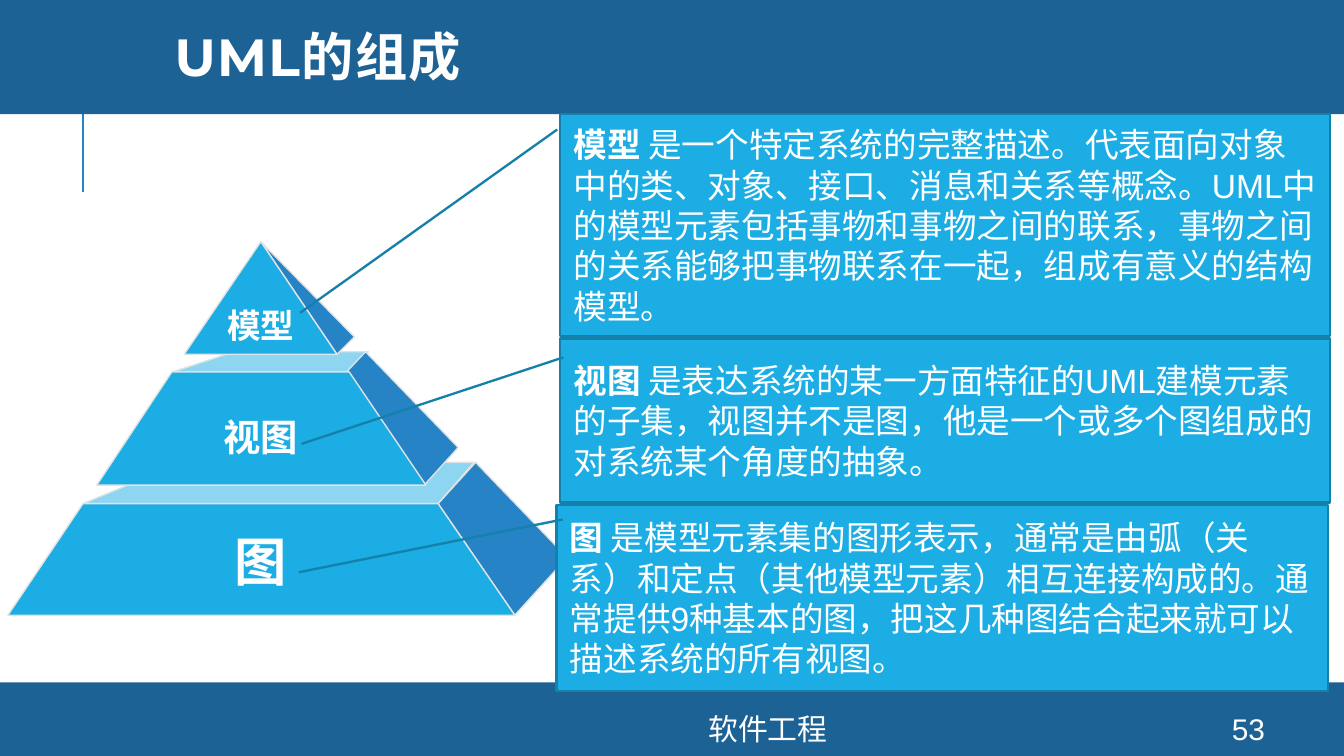
from lxml.etree import SubElement
from pptx import Presentation
from pptx.dml.color import RGBColor
from pptx.enum.shapes import MSO_CONNECTOR, MSO_SHAPE
from pptx.enum.text import MSO_ANCHOR, PP_ALIGN
from pptx.oxml.ns import qn
from pptx.util import Cm, Pt

NAVY = RGBColor(0x1D, 0x62, 0x94)
BLUE = RGBColor(0x26, 0x83, 0xC6)
SKY = RGBColor(0x1C, 0xAD, 0xE4)
TEAL = RGBColor(0x15, 0x80, 0xA9)
GREY = RGBColor(0xDF, 0xE3, 0xE5)
WHITE = RGBColor(0xFF, 0xFF, 0xFF)

WIDE, HIGH = 25.4, 14.29

FACES = [
    (BLUE, 100, [(8.13, 4.95), (9.58, 7.06), (10.57, 5.97), (8.84, 4.17)]),
    (SKY, 50, [(1.42, 4.95), (8.13, 4.95), (8.81, 4.17), (3.3, 4.17)]),
    (SKY, 100, [(0, 7.06), (9.58, 7.06), (8.13, 4.95), (1.42, 4.95)]),
    (SKY, 50, [(3.12, 2.46), (6.45, 2.46), (6.81, 2.08), (4.27, 2.08)]),
    (BLUE, 100, [(7.87, 4.6), (8.51, 3.89), (6.76, 2.08), (6.4, 2.46)]),
    (SKY, 100, [(1.68, 4.6), (7.9, 4.6), (6.45, 2.46), (3.1, 2.46)]),
    (BLUE, 100, [(6.22, 2.13), (6.55, 1.8), (4.78, 0)]),
    (SKY, 100, [(3.33, 2.13), (6.22, 2.13), (4.78, 0)]),
]
LABELS = [("视图", 20, 3.68), ("模型", 18, 1.57), ("图", 28, 6.03)]
NOTES = [
    ((10.59, 6.4, 14.55, 3.1), (0.115, 0.004, 0.642, -0.336), "视图",
     " 是表达系统的某一方面特征的UML建模元素的子集，视图并不是图，"
     "他是一个或多个图组成的对系统某个角度的抽象。"),
    ((10.59, 2.16, 14.55, 4.19), (0.069, -0.004, 0.896, -0.338), "模型",
     " 是一个特定系统的完整描述。代表面向对象中的类、对象、接口、消息和关系等概念。"
     "UML中的模型元素包括事物和事物之间的联系，事物之间的关系能够把事物联系在一起，"
     "组成有意义的结构模型。"),
    ((10.52, 9.55, 14.58, 3.51), (0.077, 0.008, 0.361, -0.334), "图",
     " 是模型元素集的图形表示，通常是由弧（关系）和定点（其他模型元素）相互连接构成的。"
     "通常提供9种基本的图，把这几种图结合起来就可以描述系统的所有视图。"),
]


def style(run, size, bold=False, face="Arial"):
    """Set the white type of a run."""
    font = run.font
    font.name, font.size, font.bold = face, Pt(size), bold
    font.color.rgb = WHITE


def write(slide, box, text, size, bold=False, align=PP_ALIGN.CENTER, face="Arial", inset=0):
    """Add a one-line text box and return its paragraph."""
    frame = slide.shapes.add_textbox(*map(Cm, box)).text_frame
    frame.word_wrap = True
    frame.vertical_anchor = MSO_ANCHOR.MIDDLE
    frame.margin_left = frame.margin_right = Cm(inset)
    frame.margin_top = frame.margin_bottom = 0
    line = frame.paragraphs[0]
    line.text, line.alignment = text, align
    style(line.runs[0], size, bold, face)
    return line


def band(slide, box):
    """Add a plain navy band."""
    bar = slide.shapes.add_shape(MSO_SHAPE.RECTANGLE, *map(Cm, box))
    bar.shadow.inherit = False
    bar.fill.solid()
    bar.fill.fore_color.rgb = NAVY
    bar.line.fill.background()


def header(slide, box):
    """Draw the title band with its rule and title."""
    left, top, width, height = box
    x, low = left + 1.57, top + height
    rule = slide.shapes.add_connector(
        MSO_CONNECTOR.STRAIGHT, Cm(x), Cm(low + 1.47), Cm(x), Cm(low - 0.43))
    rule.line.color.rgb, rule.line.width = BLUE, Pt(1.5)
    SubElement(rule._element.spPr, qn("a:effectLst"))
    band(slide, box)
    line = write(slide, (left + 3.05, top + 0.08, 21.56, 2.31), "UML的组成", 28, True,
                 PP_ALIGN.LEFT, "Montserrat", 0.25)
    line.line_spacing = 0.8
    line.runs[0]._r.get_or_add_rPr().set("spc", "80")


def footer(slide, box):
    """Draw the bottom band with course name and page number."""
    left, top, width, height = box
    band(slide, box)
    write(slide, (left + 6.63, top + 0.59, 15.77, 0.58), "软件工程", 16)
    write(slide, (left + 22.58, top + 0.59, 2.03, 0.58), "53", 16)


def pyramid(slide, box):
    """Draw the three tiers and their labels."""
    left, top, width, height = box
    for tint, alpha, points in FACES:
        spots = [(Cm(left + x), Cm(top + y)) for x, y in points]
        pen = slide.shapes.build_freeform(*spots[0])
        pen.add_line_segments(spots[1:], close=True)
        face = pen.convert_to_shape()
        face.shadow.inherit = False
        face.fill.solid()
        face.fill.fore_color.rgb = tint
        face.line.color.rgb, face.line.width = GREY, Pt(0.75)
        if alpha < 100:
            shade = face._element.spPr.find(qn("a:solidFill"))[0]
            SubElement(shade, qn("a:alpha"), val=str(alpha * 1000))
    for text, size, mid in LABELS:
        write(slide, (left + 3.28, top + mid - 0.5, 3, 1), text, size, True)


def callout(slide, box, tail, term, text):
    """Draw a note whose leader points to a tier."""
    note = slide.shapes.add_shape(MSO_SHAPE.LINE_CALLOUT_1, *map(Cm, box))
    note.shadow.inherit = False
    for i, value in enumerate(tail):
        note.adjustments[i] = value
    note.fill.solid()
    note.fill.fore_color.rgb = SKY
    note.line.color.rgb, note.line.width = TEAL, Pt(1.25)
    frame = note.text_frame
    frame.word_wrap = True
    frame.vertical_anchor = MSO_ANCHOR.MIDDLE
    line = frame.paragraphs[0]
    line.alignment = PP_ALIGN.LEFT
    for part, bold in ((term, True), (text, False)):
        run = line.add_run()
        run.text = part
        style(run, 18, bold)


def main():
    """Build and save the slide."""
    deck = Presentation()
    deck.slide_width, deck.slide_height = Cm(WIDE), Cm(HIGH)
    slide = deck.slides.add_slide(deck.slide_layouts[6])
    header(slide, (0, -0.08, WIDE, 2.24))
    footer(slide, (0, 12.9, WIDE, HIGH - 12.9))
    pyramid(slide, (0.15, 4.57, 10.57, 7.06))
    for note in NOTES:
        callout(slide, *note)
    deck.save("out.pptx")


if __name__ == "__main__":
    main()
